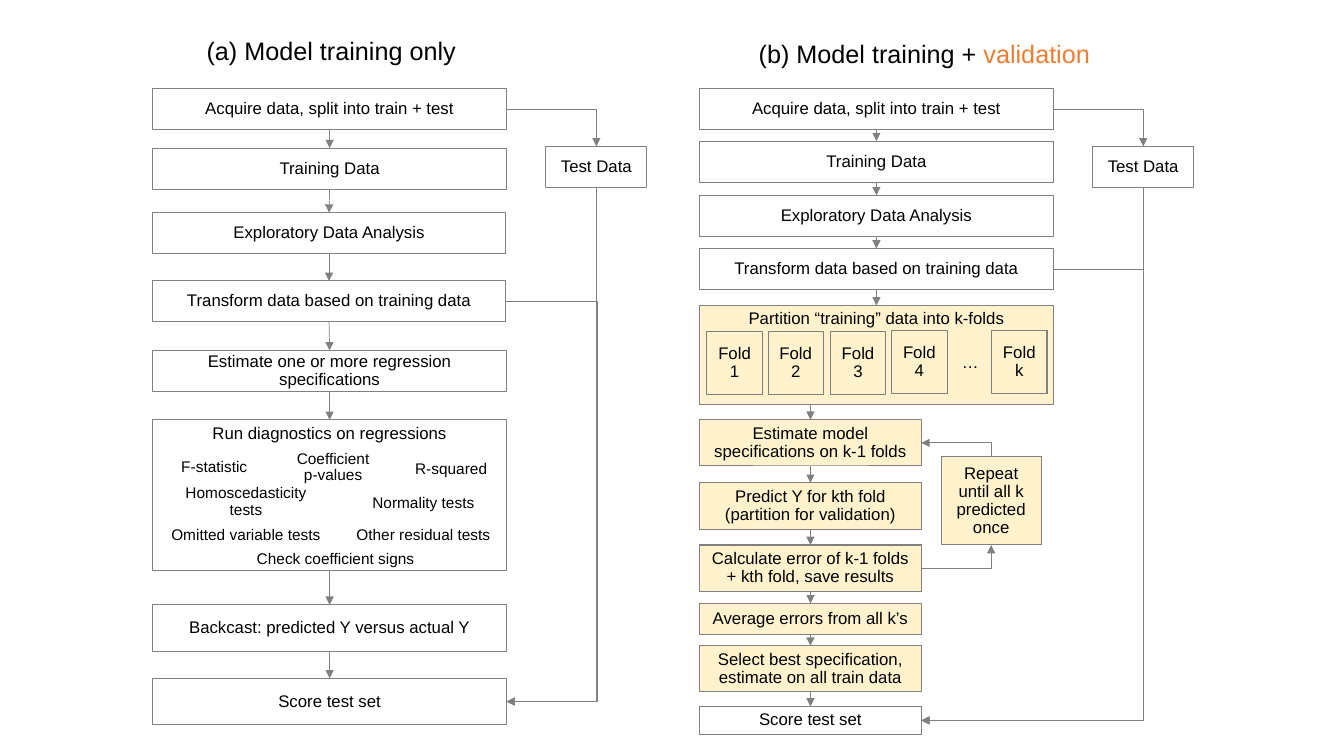
from itertools import pairwise
from lxml.etree import SubElement
from pptx import Presentation
from pptx.dml.color import RGBColor
from pptx.enum.shapes import MSO_CONNECTOR, MSO_SHAPE
from pptx.enum.text import MSO_ANCHOR, MSO_AUTO_SIZE, PP_ALIGN
from pptx.oxml.ns import qn
from pptx.util import Pt

BLACK = RGBColor(0x00, 0x00, 0x00)
GRAY = RGBColor(0x80, 0x80, 0x80)
CREAM = RGBColor(0xFF, 0xF2, 0xCC)
ORANGE = RGBColor(0xED, 0x7D, 0x31)

WIDE, NARROW = 252.7, 158.4
LOW, TALL = 29.3, 33.1
A_LEFT, B_LEFT = 109.1, 499.7
TEST_TOP, TEST_WIDTH, TEST_GAP = 104.6, 72.2, 28.1
A_RETURN_X = 427.2

HEADINGS = [
    (110.2, 23, 252.7, [("(a) Model training only", BLACK)]),
    (504.7, 24.8, 311, [("(b) Model training + ", BLACK), ("validation", ORANGE)]),
]
A_STEPS = [
    ("Acquire data, split into train + test", A_LEFT, 63.4, LOW),
    ("Training Data", A_LEFT, 105.8, LOW),
    ("Exploratory Data Analysis", 108.7, 151.9, LOW),
    ("Transform data based on training data", 108.7, 200.7, LOW),
    ("Estimate one or more regression specifications", A_LEFT, 250.3, LOW),
    ("Run diagnostics on regressions", A_LEFT, 300, 107.6),
    ("Backcast: predicted Y versus actual Y", A_LEFT, 432, TALL),
    ("Score test set", A_LEFT, 484.6, TALL),
]
DIAGNOSTICS = [
    ("F-statistic", 113.8, 321.8, 78.5),
    ("Coefficient p-values", 198.7, 321.8, 78.5),
    ("R-squared", 283, 323.1, 78.5),
    ("Homoscedasticity tests", 113.8, 346.2, 123.8),
    ("Normality tests", 243.4, 347.2, 118.1),
    ("Omitted variable tests", 113.8, 370.1, 123.8),
    ("Other residual tests", 243.4, 370.1, 118.1),
    ("Check coefficient signs", 162, 387.2, 155.5),
]
B_WIDE_STEPS = [
    ("Acquire data, split into train + test", 63.4, LOW, None),
    ("Training Data", 100.8, LOW, None),
    ("Exploratory Data Analysis", 139.5, LOW, None),
    ("Transform data based on training data", 177.5, LOW, None),
    ("Partition “training” data into k-folds", 218.2, 71.1, CREAM),
]
B_NARROW_STEPS = [
    ("Estimate model specifications on k-1 folds", 299.8, TALL, CREAM),
    ("Predict Y for kth fold\n(partition for validation)", 344.9, TALL, CREAM),
    ("Calculate error of k-1 folds + kth fold, save results", 389.3, TALL, CREAM),
    ("Average errors from all k’s", 431, 22.1, CREAM),
    ("Select best specification, estimate on all train data", 461.2, TALL, CREAM),
    ("Score test set", 504.7, 19.8, None),
]
REPEAT = ("Repeat until all k predicted once", 672.3, 326.2, 71.5, 63.1)
FOLDS = [("Fold 1", 504.9, 236.7), ("Fold 2", 548.6, 236.7), ("Fold 3", 593.1, 236.7),
         ("Fold 4", 636.9, 236), ("Fold k", 708.3, 236)]
FOLD_WIDTH, FOLD_HEIGHT = 39.6, 45.4

prs = Presentation()
prs.slide_width, prs.slide_height = Pt(960), Pt(540)
s = prs.slides.add_slide(prs.slide_layouts[5])


def write(sp, paragraphs, size, anchor=MSO_ANCHOR.MIDDLE):
    tf = sp.text_frame
    tf.word_wrap = True
    tf.auto_size = MSO_AUTO_SIZE.NONE
    tf.vertical_anchor = anchor
    for i, runs in enumerate(paragraphs):
        p = tf.add_paragraph() if i else tf.paragraphs[0]
        p.alignment = PP_ALIGN.CENTER
        p.line_spacing = 0.9
        for text, color in runs:
            r = p.add_run()
            r.text = text
            r.font.size = Pt(size)
            r.font.name = "Arial"
            r.font.color.rgb = color


def box(text, x, y, w, h, fill=None, anchor=MSO_ANCHOR.MIDDLE, sp=None):
    if sp is None:
        sp = s.shapes.add_shape(MSO_SHAPE.RECTANGLE, Pt(x), Pt(y), Pt(w), Pt(h))
        sp.shadow.inherit = False
    else:
        sp.left, sp.top, sp.width, sp.height = Pt(x), Pt(y), Pt(w), Pt(h)
    if fill is None:
        sp.fill.background()
    else:
        sp.fill.solid()
        sp.fill.fore_color.rgb = fill
    sp.line.color.rgb = GRAY
    sp.line.width = Pt(0.75)
    write(sp, [[(line, BLACK)] for line in text.split("\n")], 12, anchor)
    return sp


def label(runs, x, y, w, h, size):
    write(s.shapes.add_textbox(Pt(x), Pt(y), Pt(w), Pt(h)), [runs], size)


def arrow(start, start_side, end, end_side, kind=MSO_CONNECTOR.STRAIGHT):
    c = s.shapes.add_connector(kind, 0, 0, 0, 0)
    c.begin_connect(start, start_side)
    c.end_connect(end, end_side)
    c.line.color.rgb = GRAY
    c.line.width = Pt(0.5)
    SubElement(c.line._get_or_add_ln(), qn("a:tailEnd"), type="triangle")
    SubElement(c._element.spPr, qn("a:effectLst"))
    return c


def corner(start, start_side, end, end_side):
    c = arrow(start, start_side, end, end_side, MSO_CONNECTOR.ELBOW)
    c._element.spPr.find(qn("a:prstGeom")).set("prst", "bentConnector2")
    if start_side in (0, 2):
        x, y, w, h = c.left, c.top, c.width, c.height
        c.left, c.top, c.width, c.height = x + (w - h) // 2, y + (h - w) // 2, h, w
        xfrm = c._element.spPr.find(qn("a:xfrm"))
        for flip in ("flipH", "flipV"):
            xfrm.attrib.pop(flip, None)
        xfrm.set("rot", str((90 if start_side == 2 else 270) * 60000))
        if start_side == 0:
            xfrm.set("flipV", "1")


def detour(start, end, x):
    c = arrow(start, 3, end, 3, MSO_CONNECTOR.ELBOW)
    ratio = (x - c.begin_x) / (c.end_x - c.begin_x)
    guides = c._element.spPr.find(qn("a:prstGeom")).get_or_add_avLst()
    SubElement(guides, qn("a:gd"), name="adj1", fmla=f"val {round(ratio * 100000)}")


def chain(steps):
    for upper, lower in pairwise(steps):
        arrow(upper, 2, lower, 0)


def test_branch(acquire, left, score):
    test = box("Test Data", left + WIDE + TEST_GAP, TEST_TOP, TEST_WIDTH, LOW)
    corner(acquire, 3, test, 0)
    corner(test, 2, score, 3)
    return test


def anchor_for(text):
    return MSO_ANCHOR.TOP if text.startswith(("Run", "Partition")) else MSO_ANCHOR.MIDDLE


for x, y, w, runs in HEADINGS:
    label(runs, x, y, w, LOW, 18)

a_steps = [box(text, x, y, WIDE, h, anchor=anchor_for(text)) for text, x, y, h in A_STEPS]
for text, x, y, w in DIAGNOSTICS:
    label([(text, BLACK)], x, y, w, 24.5, 11)
chain(a_steps)
test_branch(a_steps[0], A_LEFT, a_steps[-1])
detour(a_steps[3], a_steps[-1], Pt(A_RETURN_X))

b_wide = [box(text, B_LEFT, y, WIDE, h, fill, anchor_for(text), None if i else s.shapes.title)
          for i, (text, y, h, fill) in enumerate(B_WIDE_STEPS)]
b_narrow = [box(text, B_LEFT, y, NARROW, h, fill) for text, y, h, fill in B_NARROW_STEPS]
for text, x, y in FOLDS:
    box(text, x, y, FOLD_WIDTH, FOLD_HEIGHT)
label([("…", BLACK)], 677.5, 236.7, 31, FOLD_HEIGHT, 12)
repeat = box(*REPEAT, CREAM)
chain(b_wide)
chain(b_narrow)

partition, estimate, calculate = b_wide[-1], b_narrow[0], b_narrow[2]
c = arrow(partition, 2, estimate, 0)
c._element.nvCxnSpPr.cNvCxnSpPr._remove_stCxn()
c.begin_x = c.end_x
corner(calculate, 3, repeat, 2)
corner(repeat, 0, estimate, 3)
b_test = test_branch(b_wide[0], B_LEFT, b_narrow[-1])
detour(b_wide[3], b_narrow[-1], b_test.left + b_test.width // 2)

prs.save("out.pptx")
